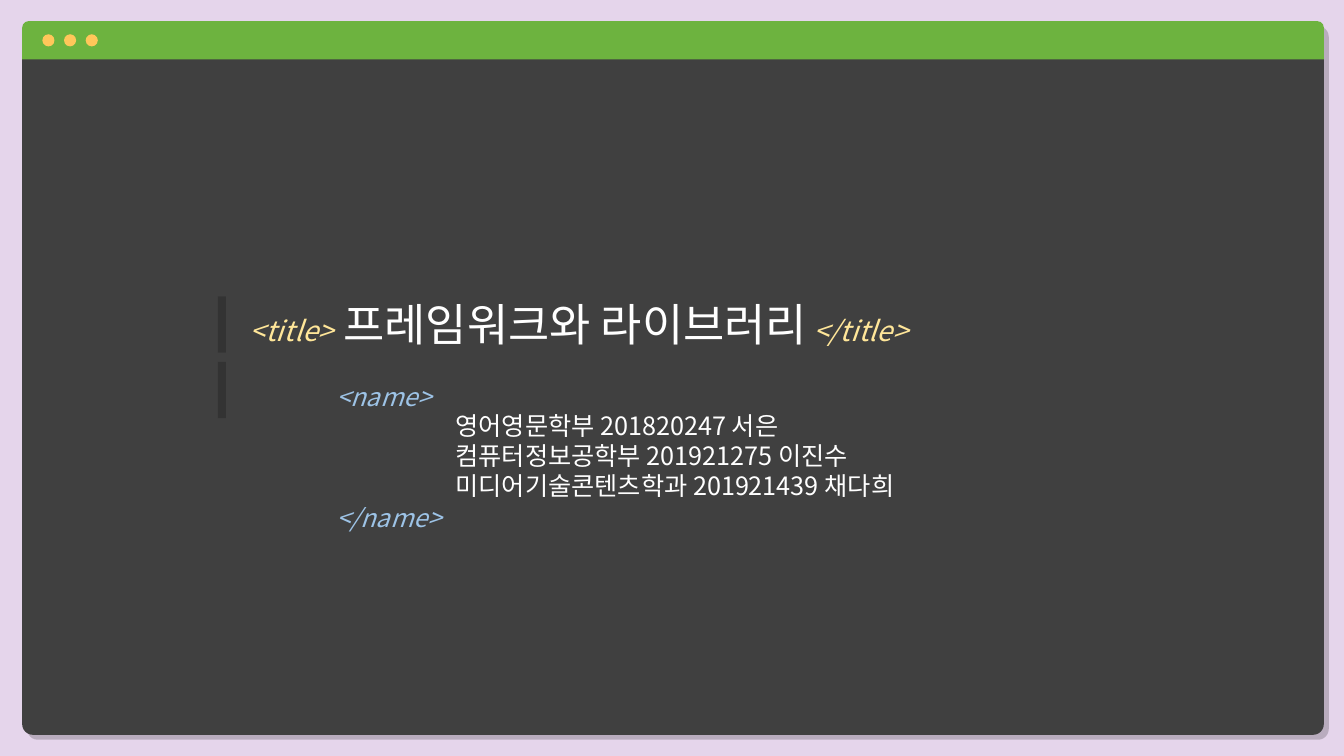
from lxml.etree import SubElement
from pptx import Presentation
from pptx.dml.color import RGBColor
from pptx.enum.shapes import MSO_SHAPE as Shape
from pptx.enum.text import MSO_AUTO_SIZE as AutoSize
from pptx.oxml.ns import qn
from pptx.util import Inches, Pt

LILAC = RGBColor(0xE5, 0xD5, 0xEB)
CHARCOAL = RGBColor(0x40, 0x40, 0x40)
GREEN = RGBColor(0x6D, 0xB3, 0x3F)
AMBER = RGBColor(0xFF, 0xC7, 0x5A)
CREAM = RGBColor(0xFF, 0xE6, 0x99)
SKY = RGBColor(0x9D, 0xC3, 0xE6)
WHITE = RGBColor(0xFF, 0xFF, 0xFF)
BLACK = RGBColor(0, 0, 0)


class SlideBuilder:
    font_name = "Noto Sans CJK KR"

    def __init__(self, presentation):
        self.slide = presentation.slides.add_slide(presentation.slide_layouts[6])

    def background(self, color):
        fill = self.slide.background.fill
        fill.solid()
        fill.fore_color.rgb = color

    def group(self):
        return self.slide.shapes.add_group_shape().shapes

    def shape(self, shapes, kind, box, color, alpha=None):
        shape = shapes.add_shape(kind, *map(Inches, box))
        shape.shadow.inherit = False
        shape.fill.solid()
        shape.fill.fore_color.rgb = color
        shape.line.fill.background()
        if alpha:
            tint = shape.fill._xPr.find(".//" + qn("a:srgbClr"))
            SubElement(tint, qn("a:alpha"), val=str(alpha * 1000))
        return shape

    def hard_shadow(self, shape, distance, alpha):
        effects = shape._element.spPr.find(qn("a:effectLst"))
        shadow = SubElement(effects, qn("a:outerShdw"), blurRad="0",
                            dist=str(Pt(distance)), dir=str(45 * 60000),
                            algn="tl", rotWithShape="0")
        color = SubElement(shadow, qn("a:srgbClr"), val=str(BLACK))
        SubElement(color, qn("a:alpha"), val=str(alpha * 1000))

    def text(self, shapes, box, lines, wrap=True):
        """Each line is a list of (text, size, color, italic) runs."""
        frame = shapes.add_textbox(*map(Inches, box)).text_frame
        frame.word_wrap = wrap
        frame.auto_size = AutoSize.SHAPE_TO_FIT_TEXT
        for index, runs in enumerate(lines):
            paragraph = frame.add_paragraph() if index else frame.paragraphs[0]
            for text, size, color, italic in runs:
                run = paragraph.add_run()
                run.text = text
                run.font.name = self.font_name
                run.font.size = Pt(size)
                run.font.italic = italic
                run.font.color.rgb = color
                SubElement(run.font._element, qn("a:ea"), typeface=self.font_name)
        return frame


def main():
    presentation = Presentation()
    presentation.slide_width = Inches(13.33)
    presentation.slide_height = Inches(7.5)
    builder = SlideBuilder(presentation)
    builder.background(LILAC)

    # Editor window with title bar and buttons
    window = builder.group()
    panel = builder.shape(window, Shape.ROUNDED_RECTANGLE,
                          (0.22, 0.21, 12.91, 7.08), CHARCOAL)
    panel.adjustments[0] = 0.015
    builder.hard_shadow(panel, distance=5, alpha=19)
    builder.shape(window, Shape.ROUND_2_SAME_RECTANGLE,
                  (0.22, 0.21, 12.91, 0.38), GREEN)
    for index in range(3):
        builder.shape(window, Shape.OVAL,
                      (0.42 + index * 0.215, 0.34, 0.12, 0.12), AMBER)

    # Margin bars
    shapes = builder.slide.shapes
    for top in (2.94, 3.59):
        builder.shape(shapes, Shape.RECTANGLE, (2.16, top, 0.08, 0.56), BLACK, alpha=19)

    # Title
    builder.text(shapes, (2.38, 2.89, 9.3, 0.64), [[
        ("<title>", 20, CREAM, True),
        (" 프레임워크와 라이브러리", 32, WHITE, False),
        (" ", 18, WHITE, False),
        ("</title>", 20, CREAM, True),
    ]])

    # Team members between name tags
    members = ["영어영문학부 201820247 서은",
               "컴퓨터정보공학부 201921275 이진수",
               "미디어기술콘텐츠학과 201921439 채다희"]
    team = builder.group()
    tags = builder.text(team, (3.24, 3.73, 6.49, 1.62),
                        [[(tag, 18, SKY, True)] for tag in ("<name>", "</name>")])
    tags.paragraphs[1].space_before = Pt(len(members) * 18 * 1.2)
    builder.text(team, (4.42, 4.02, 4.91, 1.01),
                 [[(member, 18, WHITE, False)] for member in members], wrap=False)

    presentation.save("out.pptx")


if __name__ == "__main__":
    main()
